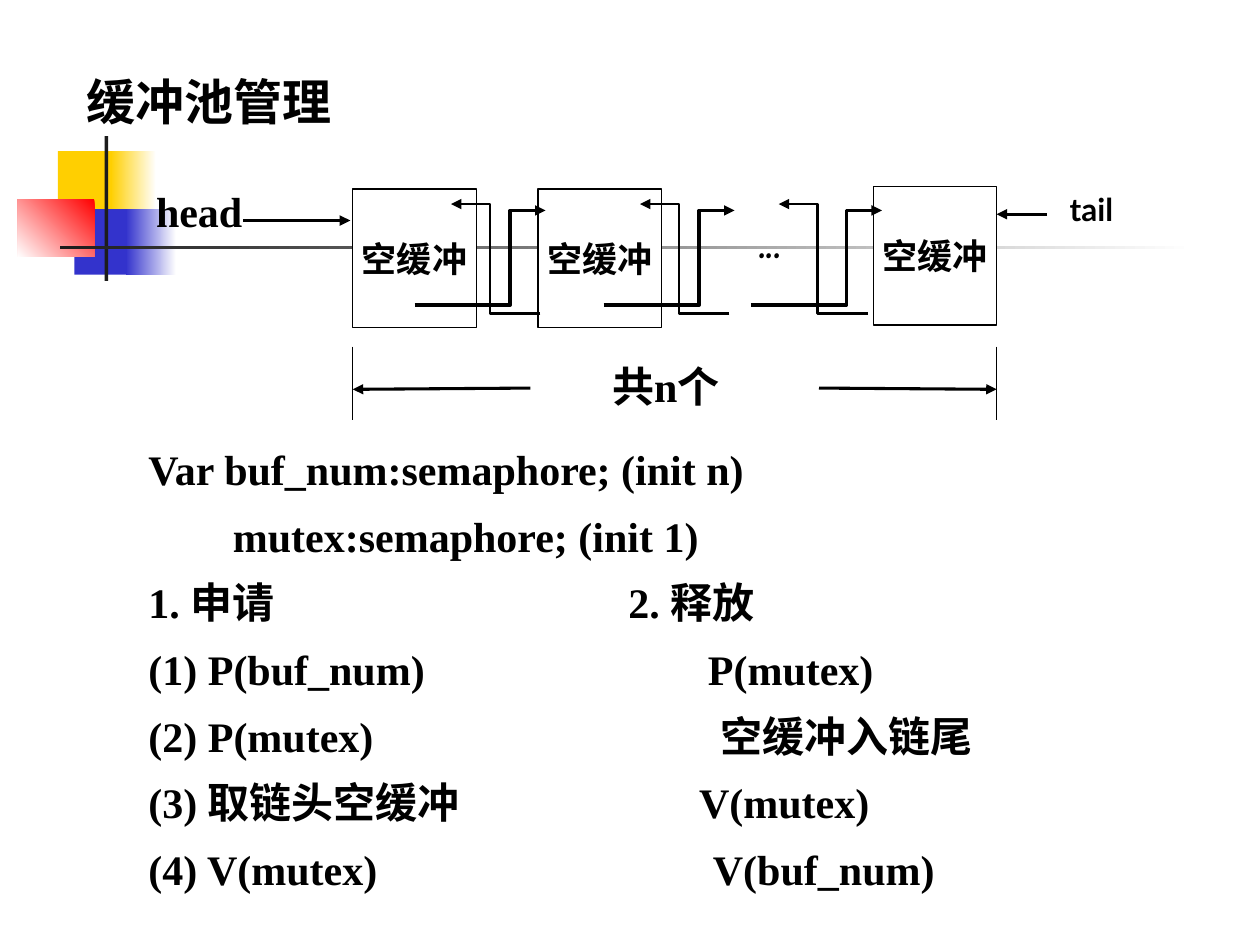
"""Build the buffer pool slide on a grid of 100 columns by 75 rows."""
from dataclasses import dataclass
from typing import Optional

from lxml import etree
from pptx import Presentation
from pptx import util as u
from pptx.dml.color import RGBColor
from pptx.enum import shapes, text
from pptx.oxml.ns import qn

CELL = u.Inches(0.1)
BLACK = RGBColor(0, 0, 0)
WHITE = RGBColor(255, 255, 255)
GOLD = RGBColor(0xFF, 0xCF, 0x01)
BLUE = RGBColor(0x33, 0x33, 0xCC)
RED = RGBColor(0xFF, 0, 0)
INK = RGBColor(0x1C, 0x1C, 0x1C)
SERIF = "Times New Roman"


@dataclass
class Area:
    """Hold a place in columns and rows."""
    col: float
    row: float
    wide: float
    high: float

    def emu(self) -> list[int]:
        """Give the place in slide units."""
        return [grid(n) for n in (self.col, self.row, self.wide, self.high)]


@dataclass
class Block:
    """Describe a colour block, faded if it has a second colour."""
    area: Area
    first: RGBColor
    last: Optional[RGBColor] = None
    angle: float = 180


@dataclass
class Label:
    """Describe a one-line text."""
    words: str
    area: Area
    size: float = 24
    face: str = SERIF


@dataclass
class Rule:
    """Describe a straight line."""
    start: tuple[float, float]
    end: tuple[float, float]
    width: float
    arrow: bool = True


@dataclass
class Link:
    """Describe a bent arrow by its start and its steps."""
    col: float
    row: float
    steps: list[tuple[float, float]]
    width: float


@dataclass
class Line:
    """Describe a text row with an indent and a tab stop in columns."""
    words: str
    indent: float = 0
    stop: float = 0


BLOCKS = [
    Block(Area(4.6, 12, 4.8, 5.2), GOLD),
    Block(Area(8.8, 12, 3.6, 5.2), WHITE, GOLD),
    Block(Area(5.9, 16.6, 4.6, 5.2), BLUE),
    Block(Area(10, 16.6, 4, 5.2), WHITE, BLUE),
    Block(Area(1.4, 15.8, 6.1, 4.6), RED, WHITE, 225),
    Block(Area(8.3, 10.8, 0.3, 11.5), INK),
    Block(Area(4.8, 19.5, 90, 0.3), WHITE, INK),
]
NODES = [(28, 15), (42.7, 15), (69.3, 14.8)]
NEXT = [(7.6, 0), (7.6, -7.5), (10.4, -7.5)]
BACK = [(-4, 0), (-4, -8.7), (-7.1, -8.7)]
LINKS = [Link(c, 24.2, NEXT, 2) for c in (32.9, 47.9, 59.6)]
LINKS += [Link(c, 24.9, BACK, 1.5) for c in (68.9, 57.9, 42.9)]
RULES = [
    Rule((19.3, 17.5), (27.8, 17.5), 2),
    Rule((28, 27.5), (28, 33.3), 0.75, False),
    Rule((79.1, 27.5), (79.1, 33.3), 0.75, False),
    Rule((65, 30.8), (79.1, 30.9), 1.75),
    Rule((42.1, 30.8), (28, 30.9), 1.75),
    Rule((83.1, 17), (79.1, 17), 1.5),
]
LABELS = [
    Label("...", Area(59.2, 16.7, 6.6, 5), face="Comic Neue"),
    Label("head", Area(11.4, 14.2, 9.4, 5)),
    Label("共n个", Area(47.6, 28.1, 12.3, 5)),
    Label("缓冲池管理", Area(5.9, 5.2, 44.2, 5.7), 28),
    Label("tail", Area(83.9, 14.6, 7.9, 4), 18, "Lato"),
]
LINES = [
    Line("Var buf_num:semaphore; (init n)"),
    Line("mutex:semaphore; (init 1)", indent=6.7),
    Line("1. 申请\t2. 释放", stop=38.1),
    Line("(1) P(buf_num)\tP(mutex)", stop=44.4),
    Line("(2) P(mutex)\t空缓冲入链尾", stop=45.4),
    Line("(3) 取链头空缓冲\tV(mutex)", stop=43.7),
    Line("(4) V(mutex)\tV(buf_num)", stop=44.8),
]


def grid(n: float) -> int:
    """Turn cells into slide units."""
    return round(n * CELL)


def write(para, words: str, size: float, face: str = SERIF) -> None:
    """Add a bold black run."""
    run = para.add_run()
    run.text = words
    for key, val in {"size": u.Pt(size), "name": face, "bold": True}.items():
        setattr(run.font, key, val)
    run.font.color.rgb = BLACK


def frame(slide, area: Area):
    """Add a wrapping text box and give its frame."""
    box = slide.shapes.add_textbox(*area.emu()).text_frame
    box.word_wrap = True
    return box


def stroke(shape, width: float, arrow: bool) -> None:
    """Style a black line, with an arrowhead if wanted."""
    shape.line.color.rgb = BLACK
    shape.line.width = u.Pt(width)
    if arrow:
        pen = shape.line._get_or_add_ln()
        etree.SubElement(pen, qn("a:tailEnd"), type="triangle")


def block(slide, item: Block):
    """Draw a colour block without a line."""
    shape = slide.shapes.add_shape(shapes.MSO_SHAPE.RECTANGLE, *item.area.emu())
    shape.shadow.inherit = False
    shape.line.fill.background()
    if item.last is None:
        shape.fill.solid()
        shape.fill.fore_color.rgb = item.first
    else:
        shape.fill.gradient()
        shape.fill.gradient_angle = item.angle
        for stop, tone in zip(shape.fill.gradient_stops, (item.first, item.last)):
            stop.color.rgb = tone
    return shape


def node(slide, col: float, row: float) -> None:
    """Draw one empty buffer."""
    shape = block(slide, Block(Area(col, row, 9.8, 11), WHITE))
    stroke(shape, 0.75, False)
    shape.text_frame.word_wrap = False
    shape.text_frame.vertical_anchor = text.MSO_ANCHOR.MIDDLE
    para = shape.text_frame.paragraphs[0]
    para.alignment = text.PP_ALIGN.CENTER
    write(para, "空缓冲", 20)


def link(slide, item: Link) -> None:
    """Draw a bent arrow."""
    pen = slide.shapes.build_freeform(grid(item.col), grid(item.row))
    ends = [(grid(item.col + x), grid(item.row + y)) for x, y in item.steps]
    pen.add_line_segments(ends, close=False)
    shape = pen.convert_to_shape()
    shape.shadow.inherit = False
    shape.fill.background()
    stroke(shape, item.width, True)


def rule(slide, item: Rule) -> None:
    """Draw a straight line."""
    ends = [grid(n) for n in item.start + item.end]
    shape = slide.shapes.add_connector(shapes.MSO_CONNECTOR.STRAIGHT, *ends)
    stroke(shape, item.width, item.arrow)
    etree.SubElement(shape._element.spPr, qn("a:effectLst"))


def label(slide, item: Label) -> None:
    """Write a one-line text."""
    write(frame(slide, item.area).paragraphs[0], item.words, item.size, item.face)


def body(slide, area: Area, lines: list[Line]) -> None:
    """Write the rows of the algorithm."""
    box = frame(slide, area)
    for i, item in enumerate(lines):
        para = box.add_paragraph() if i else box.paragraphs[0]
        props = para._p.get_or_add_pPr()
        if item.indent:
            props.set("marL", str(grid(item.indent)))
        if item.stop:
            tabs = etree.SubElement(props, qn("a:tabLst"))
            etree.SubElement(tabs, qn("a:tab"), pos=str(grid(item.stop)), algn="l")
        para.line_spacing = 0.8
        para.space_before = u.Pt(15 if i else 0)
        write(para, item.words, 24)


def main() -> None:
    """Build and save the slide."""
    deck = Presentation()
    deck.slide_width, deck.slide_height = grid(100), grid(75)
    slide = deck.slides.add_slide(deck.slide_layouts[6])
    for item in BLOCKS:
        block(slide, item)
    for col, row in NODES:
        node(slide, col, row)
    for draw, items in ((link, LINKS), (rule, RULES), (label, LABELS)):
        for item in items:
            draw(slide, item)
    body(slide, Area(10.8, 35.5, 78.3, 35.9), LINES)
    deck.save("out.pptx")


if __name__ == "__main__":
    main()
